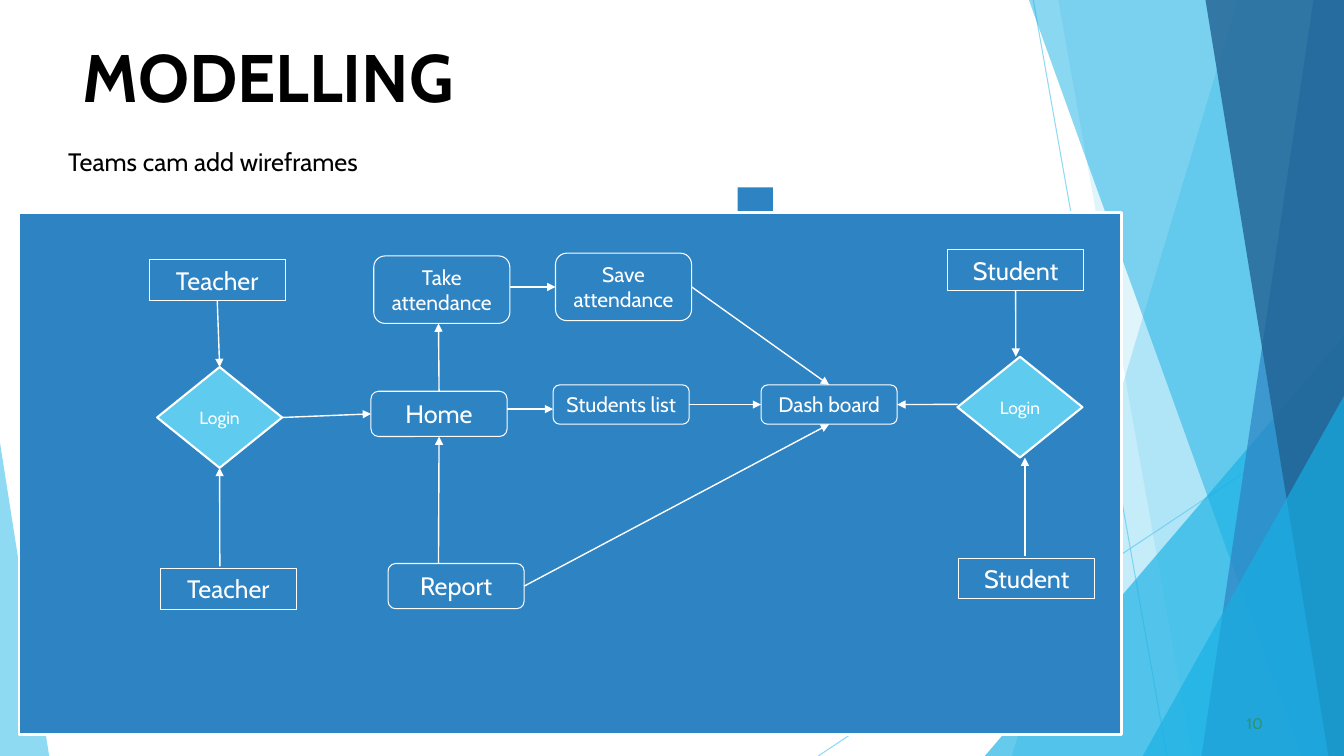
from lxml.etree import SubElement
from pptx import Presentation
from pptx.dml.color import RGBColor
from pptx.enum.shapes import MSO_CONNECTOR, MSO_SHAPE
from pptx.enum.text import MSO_ANCHOR, PP_ALIGN
from pptx.oxml.ns import qn
from pptx.util import Cm, Pt

WHITE = RGBColor(0xFF, 0xFF, 0xFF)
BLACK = RGBColor(0x00, 0x00, 0x00)
SKY = RGBColor(0x5F, 0xCB, 0xEF)
CYAN = RGBColor(0x17, 0xB0, 0xE4)
BLUE = RGBColor(0x2E, 0x83, 0xC3)
NAVY = RGBColor(0x22, 0x62, 0x92)
GREEN = RGBColor(0x2E, 0x94, 0x6B)

WIDTH, HEIGHT = 33.87, 19.05
TOP, LEFT, BOTTOM, RIGHT = range(4)


class FlowSlide:
    """Holds the style and the current slide; lengths are centimetres."""

    font_name = "Cabin"

    def __init__(self, presentation):
        self.slide = presentation.slides.add_slide(presentation.slide_layouts[6])
        self.shapes = self.slide.shapes

    def set_opacity(self, shape, percent):
        for color in shape._element.spPr.iter(qn("a:srgbClr")):
            SubElement(color, qn("a:alpha"), val=str(percent * 1000))

    def paint(self, shape, fill=None, line=None, weight=0.75, opacity=None):
        shape.shadow.inherit = False
        if fill is None:
            shape.fill.background()
        else:
            shape.fill.solid()
            shape.fill.fore_color.rgb = fill
        if line is None:
            shape.line.fill.background()
        else:
            shape.line.color.rgb = line
            shape.line.width = Pt(weight)
        if opacity:
            self.set_opacity(shape, opacity)
        return shape

    def label(self, shape, text, size, color=WHITE, bold=False,
              align=PP_ALIGN.CENTER, anchor=MSO_ANCHOR.TOP, wrap=True):
        frame = shape.text_frame
        for name, value in {"word_wrap": wrap, "vertical_anchor": anchor}.items():
            setattr(frame, name, value)
        paragraph = frame.paragraphs[0]
        paragraph.alignment = align
        run = paragraph.add_run()
        run.text = text
        run.font.color.rgb = color
        font_format = {"name": self.font_name, "size": Pt(size), "bold": bold}
        for name, value in font_format.items():
            setattr(run.font, name, value)

    def preset(self, kind, box, **style):
        shape = self.shapes.add_shape(kind, *map(Cm, box))
        return self.paint(shape, **style)

    def text(self, box, text, size, **style):
        self.label(self.shapes.add_textbox(*map(Cm, box)), text, size, **style)

    def band(self, top_x, bottom_x, color, opacity):
        builder = self.shapes.build_freeform(Cm(top_x), Cm(0))
        corners = [(WIDTH, 0), (WIDTH, HEIGHT), (bottom_x, HEIGHT)]
        builder.add_line_segments([(Cm(x), Cm(y)) for x, y in corners])
        self.paint(builder.convert_to_shape(), fill=color, opacity=opacity)

    def triangle(self, left, top, width, apex, color, opacity):
        shape = self.preset(MSO_SHAPE.ISOSCELES_TRIANGLE, (left, top, width, HEIGHT - top),
                            fill=color, opacity=opacity)
        shape.adjustments[0] = apex

    def line(self, start, end, color, weight):
        connector = self.shapes.add_connector(
            MSO_CONNECTOR.STRAIGHT, *map(Cm, (*start, *end)))
        connector.line.color.rgb = color
        connector.line.width = Pt(weight)
        SubElement(connector._element.spPr, qn("a:effectLst"))
        return connector

    def arrow(self, start, end, nodes):
        """Each end is a point (x, y) or a node's name with its side."""
        joined = [point[0] in nodes for point in (start, end)]
        connector = self.line((0, 0) if joined[0] else start,
                              (0, 0) if joined[1] else end, WHITE, 1)
        if joined[0]:
            connector.begin_connect(nodes[start[0]], start[1])
        if joined[1]:
            connector.end_connect(nodes[end[0]], end[1])
        SubElement(connector.line._get_or_add_ln(), qn("a:tailEnd"), type="triangle")


def draw_background(page):
    for start, end in [((26.04, 0), (29.41, HEIGHT)), ((WIDTH, 10.24), (20.62, HEIGHT))]:
        page.set_opacity(page.line(start, end, SKY, 0.75), 70)
    page.band(31.19, 25.5, SKY, 36)
    page.band(26.67, 30.05, SKY, 20)
    page.triangle(24.82, 8.46, 9.05, 1, CYAN, 66)
    page.band(25.93, 32.79, CYAN, 50)
    page.band(33.1, 30.28, BLUE, 70)
    page.band(30.38, 33.48, NAVY, 80)
    page.triangle(28.8, 9.98, 5.07, 1, CYAN, 66)
    page.triangle(0, 11.15, 1.24, 0, SKY, 70)


def draw_nodes(page):
    box, rounded, diamond = MSO_SHAPE.RECTANGLE, MSO_SHAPE.ROUNDED_RECTANGLE, MSO_SHAPE.DIAMOND
    node_width = 3.43
    # name: outline, left, top, height, text, size
    boxes = {
        "teacher above": (box, 3.76, 6.55, 1.02, "Teacher", 18),
        "teacher below": (box, 4.04, 14.33, 1.02, "Teacher", 18),
        "home": (rounded, 9.35, 9.86, 1.14, "Home", 18),
        "take": (rounded, 9.42, 6.45, 1.7, "Take attendance", 15),
        "list": (rounded, 13.94, 9.7, 0.99, "Students list", 15),
        "report": (rounded, 9.78, 14.2, 1.14, "Report", 18),
        "save": (rounded, 14, 6.38, 1.7, "Save attendance", 15),
        "dashboard": (rounded, 19.18, 9.7, 0.99, "Dash board", 15),
        "student above": (box, 23.88, 6.3, 1.02, "Student", 18),
        "student below": (box, 24.16, 14.07, 1.02, "Student", 18),
    }
    nodes = {}
    for name, (kind, left, top, height, text, size) in boxes.items():
        nodes[name] = page.preset(kind, (left, top, node_width, height), line=WHITE)
        page.label(nodes[name], text, size)
    for name, left, top in [("teacher login", 3.96, 9.25), ("student login", 24.13, 8.99)]:
        nodes[name] = page.preset(diamond, (left, top, 3.15, 2.54),
                                  fill=SKY, line=WHITE, weight=1.5)
        page.label(nodes[name], "Login", 12.5, anchor=MSO_ANCHOR.MIDDLE, wrap=False)
    return nodes


def draw_arrows(page, nodes):
    arrows = [
        (("teacher above", BOTTOM), ("teacher login", TOP)),
        ((5.54, 14.27), ("teacher login", BOTTOM)),
        (("teacher login", RIGHT), ("home", LEFT)),
        (("home", TOP), (11.05, 8.15)),
        ((12.78, 10.31), (13.94, 10.31)),
        ((11.05, 14.2), ("home", BOTTOM)),
        (("list", RIGHT), ("dashboard", LEFT)),
        ((12.85, 7.23), ("save", LEFT)),
        (("student above", BOTTOM), (25.6, 8.99)),
        ((25.83, 14.02), (25.83, 11.53)),
        ((24.13, 10.19), ("dashboard", RIGHT)),
        (("save", RIGHT), ("dashboard", TOP)),
        (("report", RIGHT), ("dashboard", BOTTOM)),
    ]
    for start, end in arrows:
        page.arrow(start, end, nodes)


def main():
    presentation = Presentation()
    presentation.slide_width, presentation.slide_height = Cm(WIDTH), Cm(HEIGHT)
    page = FlowSlide(presentation)

    # Background, slide number and accent square
    draw_background(page)
    page.text((24.46, 17.73, 7.62, 1.02), "10", 11, color=GREEN,
              align=PP_ALIGN.RIGHT, anchor=MSO_ANCHOR.MIDDLE)
    page.preset(MSO_SHAPE.RECTANGLE, (18.59, 4.72, 0.89, 0.89), fill=BLUE)

    # Headings
    page.text((1.47, 3.56, 10.82, 1.8), "Teams cam add wireframes", 18,
              color=BLACK, align=PP_ALIGN.LEFT)
    page.text((1.83, 0.76, 17.17, 2.31), "MODELLING", 48,
              color=BLACK, bold=True, align=PP_ALIGN.LEFT)

    # Flow chart
    page.preset(MSO_SHAPE.RECTANGLE, (0.48, 5.36, 27.79, 13.16),
                fill=BLUE, line=WHITE, weight=2)
    draw_arrows(page, draw_nodes(page))

    presentation.save("out.pptx")


if __name__ == "__main__":
    main()
